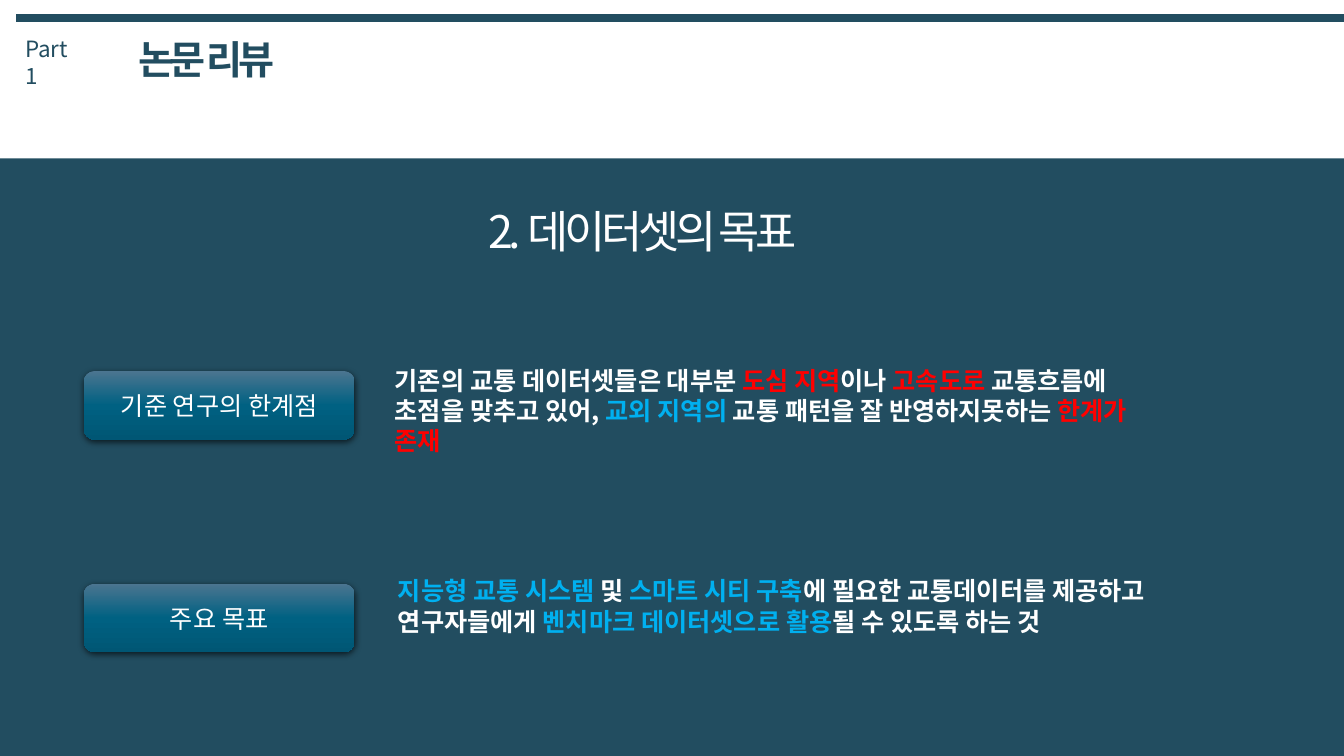
from dataclasses import dataclass

from lxml import etree
from pptx import Presentation
from pptx import util as u
from pptx.dml.color import RGBColor
from pptx.enum import shapes, text
from pptx.oxml import parse_xml
from pptx.oxml.ns import nsdecls, qn


@dataclass(frozen=True)
class Theme:
    font: str = "Noto Sans CJK KR"
    navy: str = "224D60"
    white: str = "FFFFFF"
    red: str = "FF0000"
    blue: str = "00B0F0"
    gradient: tuple = ((0, "4B7590"), (50, "006182"), (100, "005674"))
    part_size: int = 16
    body_size: int = 18
    title_size: int = 28
    heading_size: int = 32


@dataclass(frozen=True)
class Span:
    words: str
    color: str


@dataclass(frozen=True)
class Area:
    left: float
    top: float
    width: float
    height: float

    def lengths(self) -> list:
        return [u.Cm(n) for n in (self.left, self.top, self.width, self.height)]


@dataclass(frozen=True)
class Topic:
    label: str
    label_area: Area
    body_area: Area
    spans: list


THEME = Theme()
TOPICS = [
    Topic("기준 연구의 한계점", Area(2.11, 9.35, 6.83, 1.73), Area(9.7, 9.07, 19.48, 2.57), [
        Span("기존의 교통 데이터셋들은 대부분 ", THEME.white),
        Span("도심 지역", THEME.red),
        Span("이나 ", THEME.white),
        Span("고속도로", THEME.red),
        Span(" 교통흐름에 초점을 맞추고 있어, ", THEME.white),
        Span("교외 지역의 ", THEME.blue),
        Span("교통 패턴을 잘 반영하지못하는 ", THEME.white),
        Span("한계가 존재", THEME.red),
    ]),
    Topic("주요 목표", Area(2.11, 14.71, 6.83, 1.73), Area(9.78, 14.38, 19.91, 1.8), [
        Span("지능형 교통 시스템 ", THEME.blue),
        Span("및 ", THEME.white),
        Span("스마트 시티 구축", THEME.blue),
        Span("에 필요한 교통데이터를 제공하고 연구자들에게 ", THEME.white),
        Span("벤치마크 데이터셋으로 활용", THEME.blue),
        Span("될 수 있도록 하는 것", THEME.white),
    ]),
]


def write_spans(para, spans: list, size: int, bold: bool = False, spacing: int = 0) -> None:
    for item in spans:
        span = para.add_run()
        span.text = item.words
        span.font.size = u.Pt(size)
        span.font.bold = bold
        span.font.name = THEME.font
        span.font.color.rgb = RGBColor.from_string(item.color)
        props = span.font._element
        etree.SubElement(props, qn("a:ea")).set("typeface", THEME.font)
        if spacing:
            props.set("spc", str(spacing * 100))


def add_text(page, area: Area, spans: list, size: int, bold: bool = False,
             spacing: int = 0, wrap: bool = True, centered: bool = False) -> None:
    box = page.shapes.add_textbox(*area.lengths())
    frame = box.text_frame
    frame.word_wrap = wrap
    frame.auto_size = text.MSO_AUTO_SIZE.SHAPE_TO_FIT_TEXT
    para = frame.paragraphs[0]
    para.alignment = text.PP_ALIGN.CENTER if centered else text.PP_ALIGN.LEFT
    write_spans(para, spans, size, bold, spacing)


def add_shape(page, kind, area: Area):
    shape = page.shapes.add_shape(kind, *area.lengths())
    shape.shadow.inherit = False
    shape.line.fill.background()
    return shape


def add_label(page, topic: Topic) -> None:
    shape = add_shape(page, shapes.MSO_SHAPE.ROUNDED_RECTANGLE, topic.label_area)
    props = shape._element.spPr
    stops = "".join(f'<a:gs pos="{pos * 1000}"><a:srgbClr val="{color}"/></a:gs>'
                    for pos, color in THEME.gradient)
    props.find(qn("a:prstGeom")).addnext(parse_xml(
        f'<a:gradFill {nsdecls("a")} rotWithShape="1"><a:gsLst>{stops}</a:gsLst>'
        '<a:lin ang="5400000" scaled="0"/></a:gradFill>'))
    props.find(qn("a:effectLst")).append(parse_xml(
        f'<a:outerShdw {nsdecls("a")} blurRad="57150" dist="19050" dir="5400000" '
        'algn="ctr" rotWithShape="0"><a:srgbClr val="000000">'
        '<a:alpha val="63000"/></a:srgbClr></a:outerShdw>'))
    frame = shape.text_frame
    frame.vertical_anchor = text.MSO_ANCHOR.MIDDLE
    para = frame.paragraphs[0]
    para.alignment = text.PP_ALIGN.CENTER
    write_spans(para, [Span(topic.label, THEME.white)], THEME.body_size)


def add_top_rule(page) -> None:
    rule = page.shapes.add_connector(shapes.MSO_CONNECTOR.STRAIGHT,
                                     u.Cm(0.41), u.Cm(0.45), u.Cm(33.91), u.Cm(0.45))
    rule.line.color.rgb = RGBColor.from_string(THEME.navy)
    rule.line.width = u.Pt(6)
    etree.SubElement(rule._element.spPr, qn("a:effectLst"))


def main() -> None:
    deck = Presentation()
    deck.slide_width, deck.slide_height = u.Cm(33.87), u.Cm(19.05)
    page = deck.slides.add_slide(deck.slide_layouts[6])

    # Header
    add_top_rule(page)
    add_text(page, Area(0.39, 0.76, 1.96, 0.94), [Span("Part 1", THEME.navy)],
             THEME.part_size)
    add_text(page, Area(3.23, 0.76, 4.22, 1.45), [Span("논문 리뷰", THEME.navy)],
             THEME.title_size, bold=True, spacing=-3, wrap=False)

    # Dark panel with its heading
    panel = add_shape(page, shapes.MSO_SHAPE.RECTANGLE, Area(0, 3.99, 33.91, 15.06))
    panel.fill.solid()
    panel.fill.fore_color.rgb = RGBColor.from_string(THEME.navy)
    add_text(page, Area(11.63, 5, 9.12, 1.63), [Span("2. 데이터셋의 목표", THEME.white)],
             THEME.heading_size, spacing=-3, wrap=False, centered=True)

    # Topics: label on the left, explanation on the right
    for topic in TOPICS:
        add_label(page, topic)
        add_text(page, topic.body_area, topic.spans, THEME.body_size, bold=True)

    deck.save("out.pptx")


if __name__ == "__main__":
    main()
